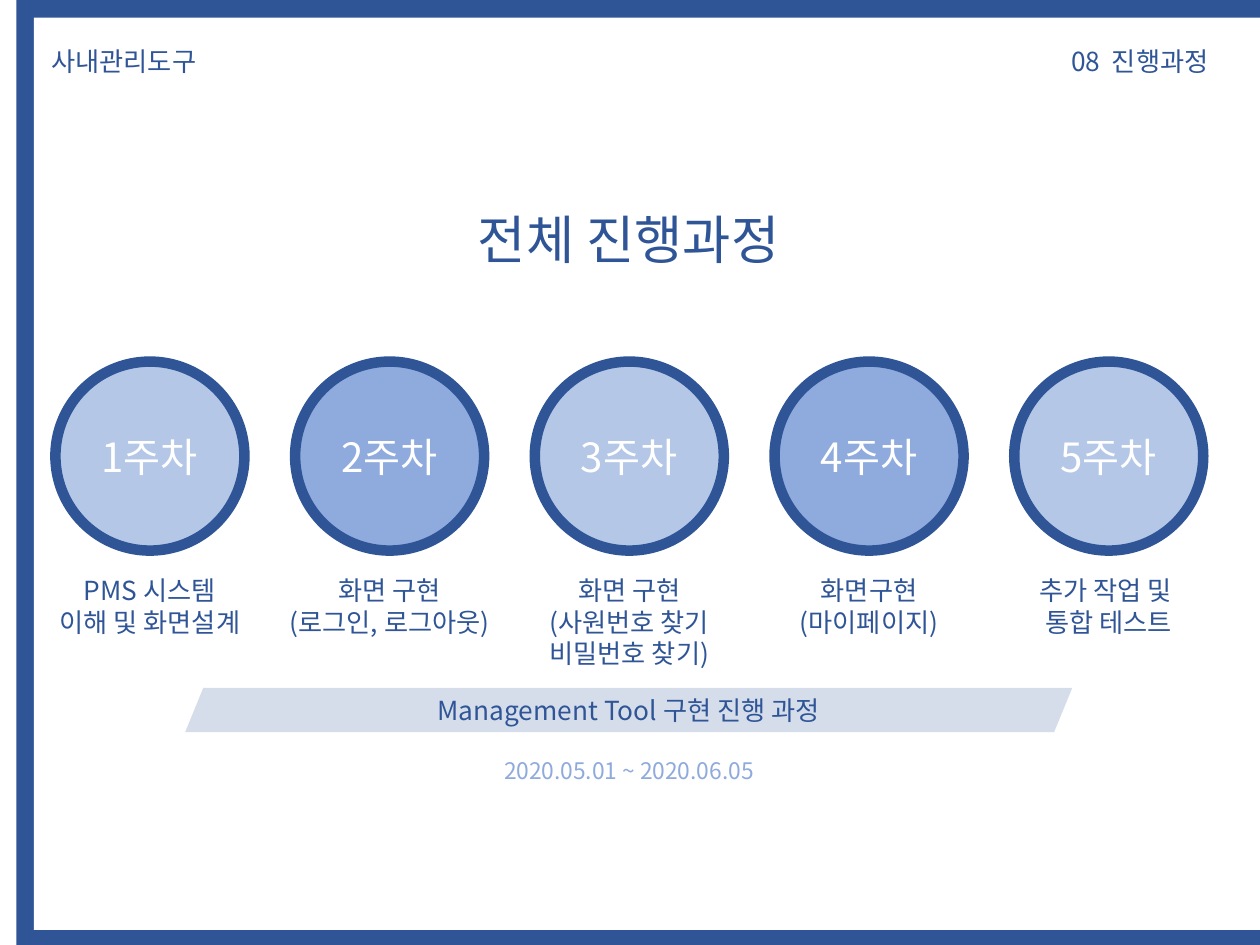
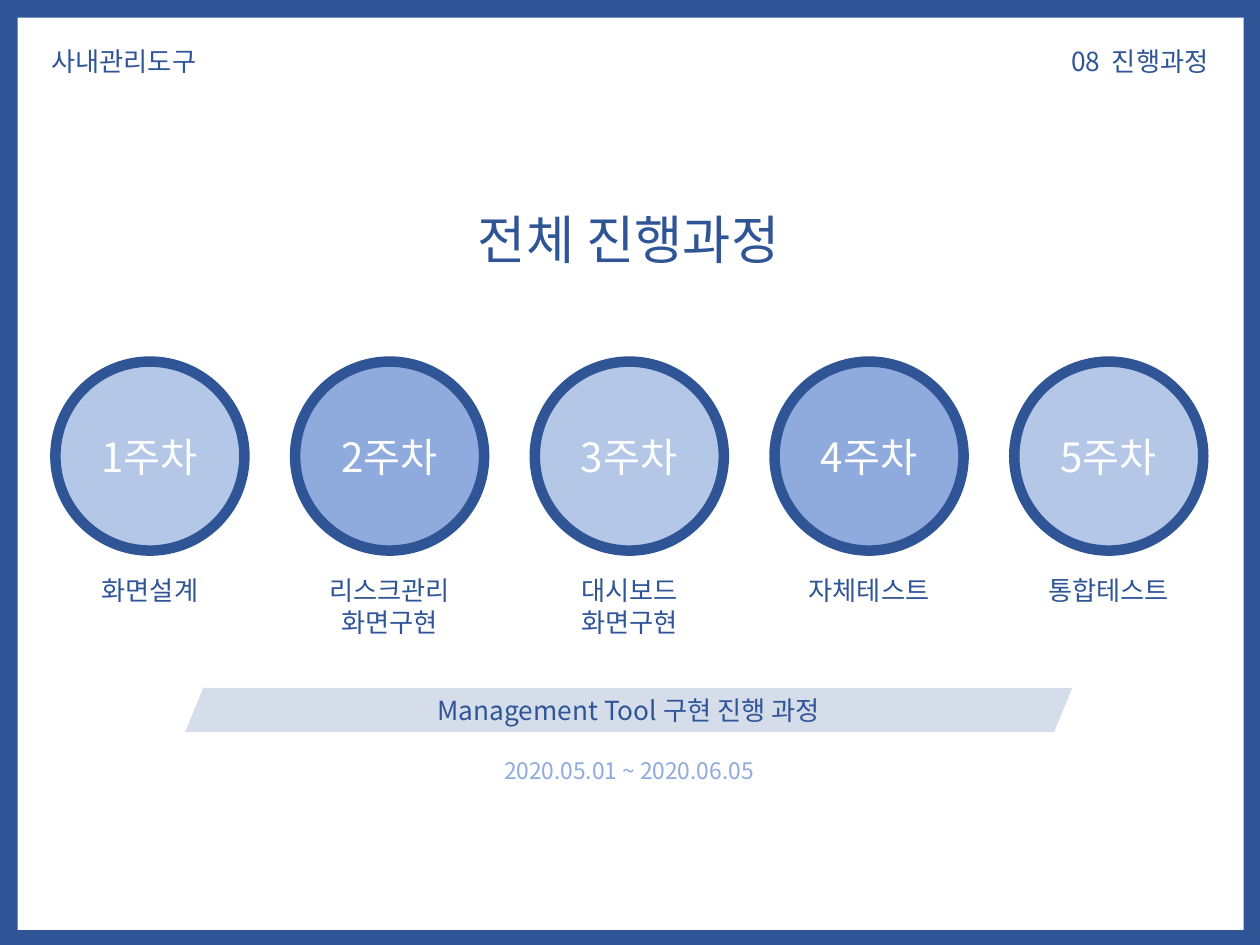
from dataclasses import dataclass

from pptx import Presentation
from pptx.dml.color import RGBColor
from pptx.enum.shapes import MSO_SHAPE
from pptx.enum.text import MSO_ANCHOR, MSO_AUTO_SIZE, PP_ALIGN
from pptx.oxml.ns import qn
from pptx.oxml.xmlchemy import OxmlElement
from pptx.shapes.autoshape import Shape
from pptx.slide import Slide
from pptx.text.text import TextFrame
from pptx.util import Inches, Pt

NAVY = RGBColor(0x2F, 0x55, 0x97)
MID_BLUE = RGBColor(0x8F, 0xAA, 0xDC)
PALE_BLUE = RGBColor(0xB4, 0xC7, 0xE7)
WHITE = RGBColor(0xFF, 0xFF, 0xFF)
FONT = "Noto Sans CJK KR"

CIRCLE_TOP, CIRCLE_SIZE = 2.87, 1.5
FIRST_LEFT, LAST_LEFT = 0.44, 8.05
CAPTION_TOP = 4.51


@dataclass(frozen=True)
class Box:
    left: float
    top: float
    width: float
    height: float

    def emu(self) -> tuple[int, int, int, int]:
        return (Inches(self.left), Inches(self.top),
                Inches(self.width), Inches(self.height))


@dataclass(frozen=True)
class Caption:
    lines: tuple[str, ...]
    width: float = 1.75


@dataclass(frozen=True)
class Schedule:
    frame_left: float
    inner_left: float
    captions: tuple[Caption, ...]


SCHEDULES = (
    Schedule(0.13, 0.27, (
        Caption(("PMS 시스템", "이해 및 화면설계")),
        Caption(("화면 구현", "(로그인, 로그아웃)"), 1.9),
        Caption(("화면 구현", "(사원번호 찾기", "비밀번호 찾기)")),
        Caption(("화면구현", "(마이페이지)")),
        Caption(("추가 작업 및 ", "통합 테스트")),
    )),
    Schedule(0, 0.14, (
        Caption(("화면설계",)),
        Caption(("리스크관리", "화면구현")),
        Caption(("대시보드", "화면구현")),
        Caption(("자체테스트",)),
        Caption(("통합테스트",)),
    )),
)


def write(tf: TextFrame, lines: tuple[str, ...], size: float,
          color: RGBColor = NAVY, align: PP_ALIGN = PP_ALIGN.CENTER) -> None:
    """Fill the frame, one paragraph a line, with Latin and Korean in FONT."""
    tf.word_wrap = True
    tf.text = "\n".join(lines)
    for p in tf.paragraphs:
        p.alignment = align
        p.font.size = Pt(size)
        p.font.color.rgb = color
        p.font.name = FONT
        ea = OxmlElement("a:ea")
        ea.set("typeface", FONT)
        p._p.pPr.find(qn("a:defRPr")).append(ea)


def add_text(s: Slide, box: Box, lines: tuple[str, ...], size: float = 15,
             color: RGBColor = NAVY, align: PP_ALIGN = PP_ALIGN.CENTER) -> None:
    tf = s.shapes.add_textbox(*box.emu()).text_frame
    write(tf, lines, size, color, align)
    tf.auto_size = MSO_AUTO_SIZE.SHAPE_TO_FIT_TEXT


def add_filled(shapes, kind: MSO_SHAPE, box: Box, fill: RGBColor) -> Shape:
    sp = shapes.add_shape(kind, *box.emu())
    sp.shadow.inherit = False
    sp.fill.solid()
    sp.fill.fore_color.rgb = fill
    sp.line.fill.background()
    return sp


def add_frame(s: Slide, schedule: Schedule) -> None:
    group = s.shapes.add_group_shape()
    add_filled(group.shapes, MSO_SHAPE.RECTANGLE,
               Box(schedule.frame_left, 0, 10, 7.5), NAVY)
    add_filled(group.shapes, MSO_SHAPE.RECTANGLE,
               Box(schedule.inner_left, 0.14, 9.73, 7.24), WHITE)


def place_title(s: Slide, text: str) -> None:
    title = s.shapes.title
    title.left, title.top, title.width, title.height = Box(2.33, 1.59, 5.32, 0.61).emu()
    write(title.text_frame, (text,), 30)
    title.text_frame.vertical_anchor = MSO_ANCHOR.TOP
    title.text_frame.auto_size = MSO_AUTO_SIZE.SHAPE_TO_FIT_TEXT
    s.shapes._spTree.append(title._element)  # in front of the frame


def add_week(s: Slide, index: int, left: float, caption: Caption) -> None:
    sp = add_filled(s.shapes, MSO_SHAPE.OVAL,
                    Box(left, CIRCLE_TOP, CIRCLE_SIZE, CIRCLE_SIZE),
                    MID_BLUE if index % 2 else PALE_BLUE)
    sp.line.color.rgb = NAVY
    sp.line.width = Pt(6)
    write(sp.text_frame, (f"{index + 1}주차",), 23, WHITE)
    center = left + CIRCLE_SIZE / 2
    height = 0.1 + 0.25 * len(caption.lines)
    add_text(s, Box(center - caption.width / 2, CAPTION_TOP, caption.width, height),
             caption.lines)


def add_banner(s: Slide, text: str) -> None:
    sp = add_filled(s.shapes, MSO_SHAPE.PARALLELOGRAM, Box(1.47, 5.46, 7.04, 0.35), NAVY)
    sp.adjustments[0] = 0.41
    alpha = OxmlElement("a:alpha")
    alpha.set("val", "20000")
    sp._element.spPr.find(qn("a:solidFill"))[0].append(alpha)
    write(sp.text_frame, (text,), 15)


def add_schedule(prs: Presentation, schedule: Schedule) -> None:
    s = prs.slides.add_slide(prs.slide_layouts[5])
    add_frame(s, schedule)
    place_title(s, "전체 진행과정")
    add_text(s, Box(0.31, 0.31, 2.94, 0.35), ("사내관리도구",), align=PP_ALIGN.LEFT)
    add_text(s, Box(6.75, 0.31, 2.94, 0.35), ("08  진행과정",), align=PP_ALIGN.RIGHT)
    step = (LAST_LEFT - FIRST_LEFT) / (len(schedule.captions) - 1)
    for i, caption in enumerate(schedule.captions):
        add_week(s, i, FIRST_LEFT + i * step, caption)
    add_banner(s, "Management Tool 구현 진행 과정")
    add_text(s, Box(1.97, 5.96, 6.04, 0.32), ("2020.05.01 ~ 2020.06.05",), 13, MID_BLUE)


def main() -> None:
    prs = Presentation()
    prs.slide_width, prs.slide_height = Inches(10), Inches(7.5)
    for schedule in SCHEDULES:
        add_schedule(prs, schedule)
    prs.save("out.pptx")


if __name__ == "__main__":
    main()
